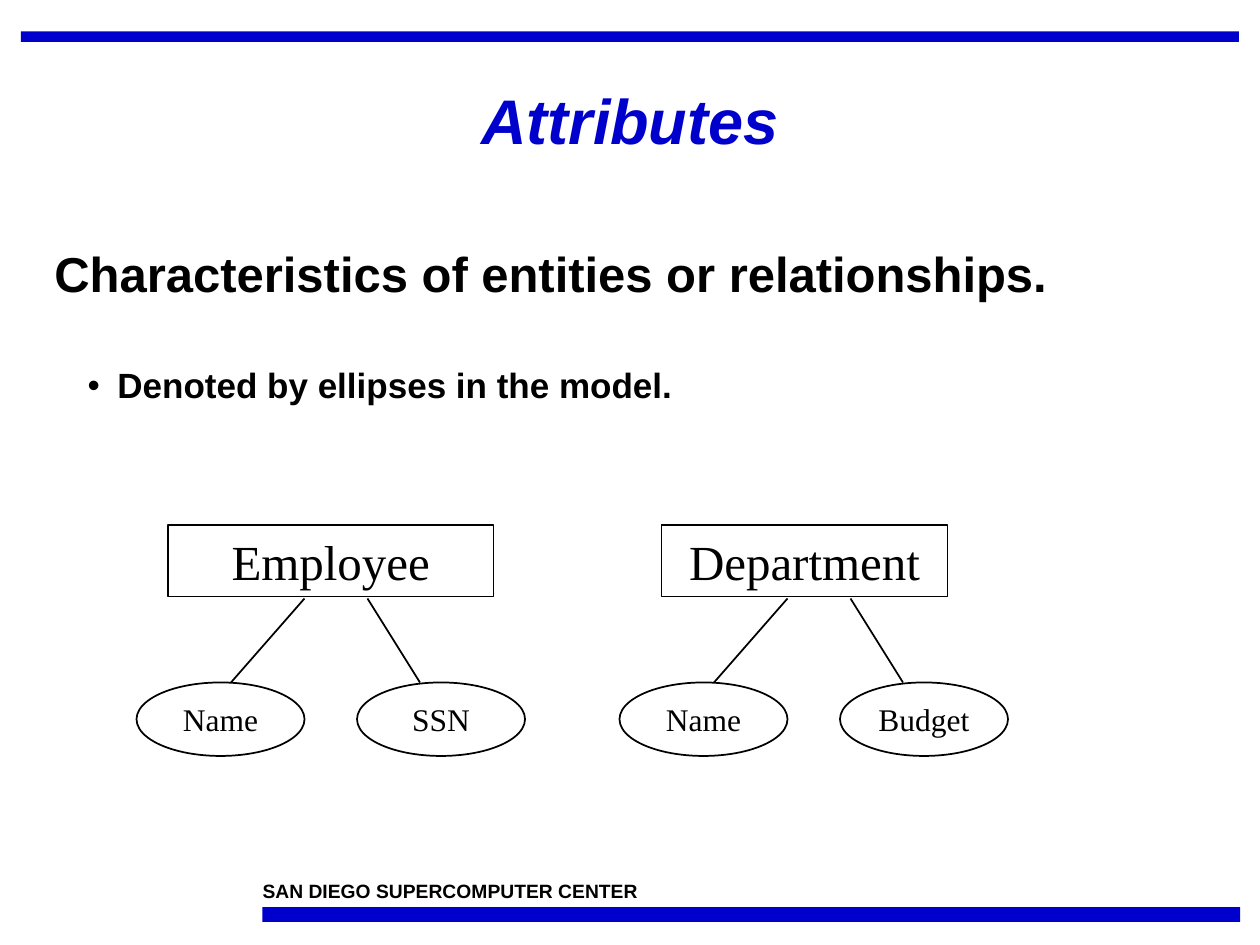
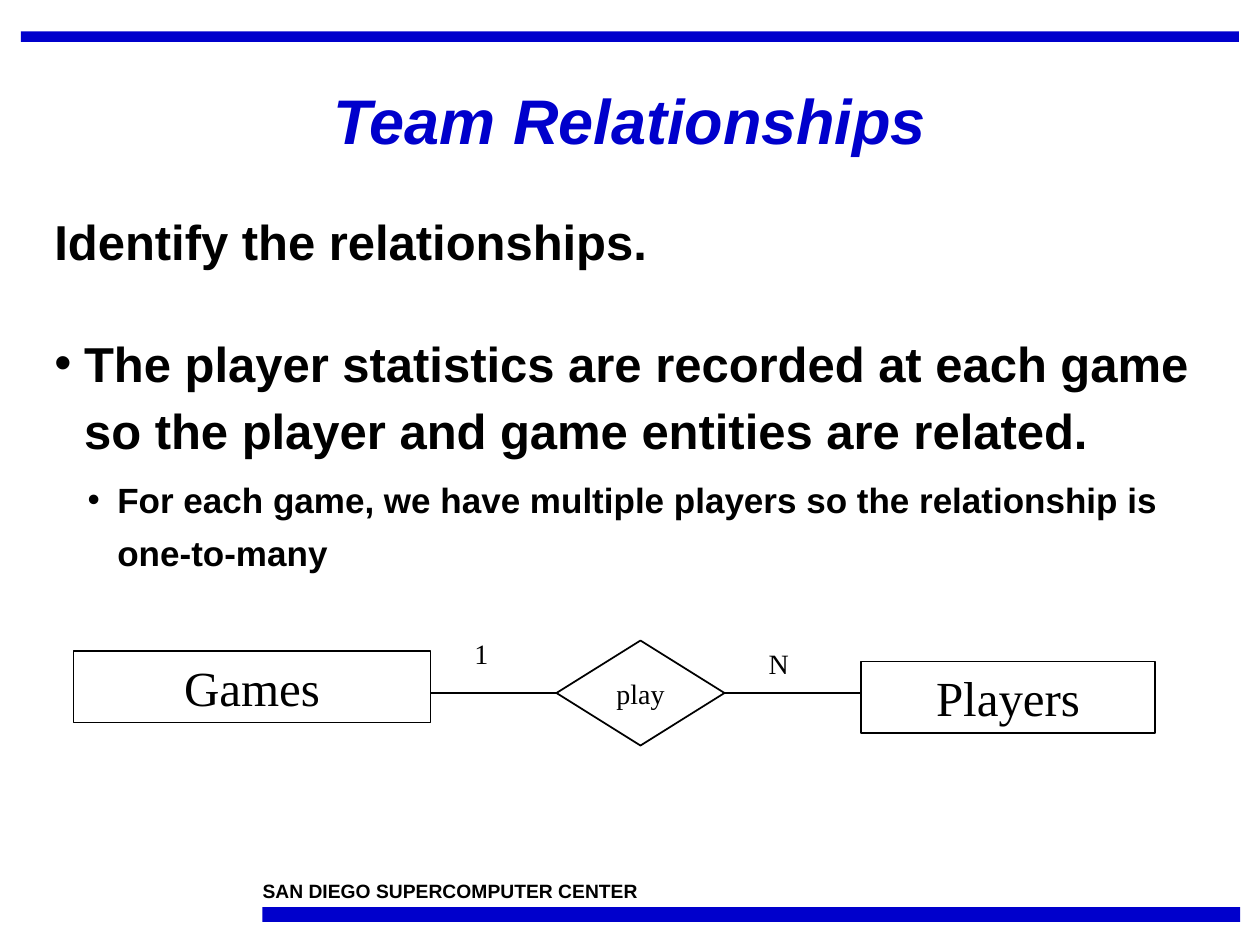
from dataclasses import dataclass

from lxml import etree
from pptx import Presentation
from pptx.dml.color import RGBColor
from pptx.enum.shapes import MSO_CONNECTOR, MSO_SHAPE
from pptx.enum.text import MSO_ANCHOR, MSO_AUTO_SIZE, PP_ALIGN
from pptx.oxml.ns import qn
from pptx.util import Pt

RECT, ELLIPSE, DIAMOND = MSO_SHAPE.RECTANGLE, MSO_SHAPE.OVAL, MSO_SHAPE.DIAMOND
STRAIGHT = MSO_CONNECTOR.STRAIGHT
TOP, MIDDLE = MSO_ANCHOR.TOP, MSO_ANCHOR.MIDDLE
LEFT, CENTER = PP_ALIGN.LEFT, PP_ALIGN.CENTER
NO_FIT = MSO_AUTO_SIZE.NONE


@dataclass(frozen=True)
class Theme:
    """Colours, fonts and type sizes shared by the slides."""
    blue: RGBColor = RGBColor(0x00, 0x00, 0xCC)
    black: RGBColor = RGBColor(0x00, 0x00, 0x00)
    sans: str = "Arial"
    serif: str = "Times New Roman"
    title: int = 36
    body: int = 28
    sub: int = 20
    entity: int = 28
    attribute: int = 18
    label: int = 16
    footer: int = 11
    line: int = 1
    hanging: int = 17


THEME = Theme()


def in_points(*lengths):
    """Turn numbers into point lengths."""
    return [Pt(n) for n in lengths]


def style_font(font, name, size, color=THEME.black, bold=False, italic=False):
    """Apply face, size, colour and weight to a font."""
    font.name, font.size = name, Pt(size)
    font.bold, font.italic = bold, italic
    font.color.rgb = color


def set_margins(tf, x, y):
    """Set the side margins and the top and bottom margins of a text frame."""
    tf.margin_left = tf.margin_right = Pt(x)
    tf.margin_top = tf.margin_bottom = Pt(y)


def write_line(tf, text, align, anchor, **font):
    """Write one formatted line of text into a frame."""
    tf.text = text
    tf.vertical_anchor = anchor
    p = tf.paragraphs[0]
    p.alignment = align
    style_font(p.runs[0].font, **font)


def add_bar(s, box):
    """Draw a solid blue band."""
    sp = s.shapes.add_shape(RECT, *in_points(*box))
    sp.shadow.inherit = False
    sp.fill.solid()
    sp.fill.fore_color.rgb = THEME.blue
    sp.line.fill.background()


def add_footer(s, x, y):
    """Place the centre's name above the lower band."""
    tf = s.shapes.add_textbox(*in_points(x, y, 270, 13)).text_frame
    set_margins(tf, 0, 0)
    tf.word_wrap = True
    write_line(tf, "SAN DIEGO SUPERCOMPUTER CENTER", LEFT, TOP,
               name=THEME.sans, size=THEME.footer, bold=True)
    add_bar(s, (x, y + 16, 558.7, 8.5))


def add_slide(prs, title):
    """Add a slide with the shared bands, footer and title."""
    s = prs.slides.add_slide(prs.slide_layouts[5])
    add_bar(s, (12, 18, 696, 6))
    add_footer(s, 150, 502.4)
    sp = s.shapes.title
    sp.left, sp.top, sp.width, sp.height = in_points(12, 30, 696, 82)
    tf = sp.text_frame
    tf.auto_size = NO_FIT
    write_line(tf, title, CENTER, MIDDLE, name=THEME.sans, size=THEME.title,
               color=THEME.blue, bold=True, italic=True)
    tf.paragraphs[0].line_spacing = 0.9
    return s


def add_bullet(p, margin):
    """Give a paragraph a black hanging bullet."""
    pPr = p._p.get_or_add_pPr()
    pPr.set("marL", str(Pt(margin)))
    pPr.set("indent", str(-Pt(THEME.hanging)))
    color = etree.SubElement(pPr, qn("a:buClr"))
    etree.SubElement(color, qn("a:srgbClr")).set("val", str(THEME.black))
    etree.SubElement(pPr, qn("a:buFont")).set("typeface", THEME.sans)
    etree.SubElement(pPr, qn("a:buChar")).set("char", "•")


def add_body(s, box, items):
    """Write paragraphs of (text, size, bullet margin, line spacing, space before)."""
    tf = s.shapes.add_textbox(*in_points(*box)).text_frame
    tf.word_wrap = True
    for i, (text, size, margin, spacing, before) in enumerate(items):
        p = tf.paragraphs[0] if i == 0 else tf.add_paragraph()
        p.text = text
        p.line_spacing, p.space_before = spacing, Pt(before)
        if margin:
            add_bullet(p, margin)
        style_font(p.runs[0].font, THEME.sans, size, bold=True)


def add_node(s, kind, box, text, size, anchor=MIDDLE, wrap=False):
    """Draw an outlined diagram shape with centred text."""
    sp = s.shapes.add_shape(kind, *in_points(*box))
    sp.shadow.inherit = False
    sp.fill.background()
    sp.line.color.rgb = THEME.black
    sp.line.width = Pt(THEME.line)
    sp.text_frame.word_wrap = wrap
    write_line(sp.text_frame, text, CENTER, anchor, name=THEME.serif, size=size)


def add_entity(s, x, y, width, name):
    """Draw an entity rectangle."""
    add_node(s, RECT, (x, y, width, 41), name, THEME.entity, TOP, True)


def add_link(s, *ends):
    """Draw a thin black line from x1, y1 to x2, y2."""
    c = s.shapes.add_connector(STRAIGHT, *in_points(*ends))
    c.line.color.rgb = THEME.black
    c.line.width = Pt(THEME.line)
    etree.SubElement(c._element.spPr, qn("a:effectLst"))


def add_label(s, x, y, width, text):
    """Write a cardinality label."""
    tf = s.shapes.add_textbox(*in_points(x, y, width, 27)).text_frame
    tf.word_wrap = False
    write_line(tf, text, CENTER, TOP, name=THEME.serif, size=THEME.label)


def add_attribute_tree(s, x, y, entity, offset, width, attributes):
    """Draw an entity with a row of attribute ellipses below it."""
    for i, attribute in enumerate(attributes):
        add_node(s, ELLIPSE, (x + 126 * i, y + 90, 96, 42), attribute, THEME.attribute)
        add_link(s, x + 96 + 36 * i, y + 42, x + 54 + 108 * i, y + 90)
    add_entity(s, x + offset, y, width, entity)


def add_relationship(s, x, y):
    """Draw the one-to-many relationship between games and players."""
    mid = y + 36
    add_entity(s, x, y + 12, 204, "Games")
    add_entity(s, x + 450, y + 18, 168, "Players")
    add_node(s, DIAMOND, (x + 276, y + 6, 96, 60), "play", THEME.label)
    add_link(s, x + 276, mid, x + 204, mid)
    add_link(s, x + 372, mid, x + 450, mid)
    add_label(s, x + 222, y, 22, "1")
    add_label(s, x + 390, y + 6, 26, "N")


def build_attributes(prs):
    """Build the slide on attributes."""
    s = add_slide(prs, "Attributes")
    add_body(s, (24, 138, 678, 151), [
        ("Characteristics of entities or relationships.", THEME.body, 0, 0.95, 0),
        ("Denoted by ellipses in the model.", THEME.sub, 36, 0.95, 36),
    ])
    add_attribute_tree(s, 78, 300, "Employee", 18, 186, ("Name", "SSN"))
    add_attribute_tree(s, 354, 300, "Department", 24, 163.5, ("Name", "Budget"))


def build_relationships(prs):
    """Build the slide on team relationships."""
    s = add_slide(prs, "Team Relationships")
    add_body(s, (24, 120, 678, 211), [
        ("Identify the relationships.", THEME.body, 0, 0.95, 0),
        ("The player statistics are recorded at each game so the player "
         "and game entities are related.", THEME.body, THEME.hanging, 1.15, 30),
        ("For each game, we have multiple players so the relationship is "
         "one-to-many", THEME.sub, 36, 1.25, 5),
    ])
    add_relationship(s, 42, 360)


def main():
    """Build and save the presentation."""
    prs = Presentation()
    prs.slide_width, prs.slide_height = in_points(720, 540)
    build_attributes(prs)
    build_relationships(prs)
    prs.save("out.pptx")


if __name__ == "__main__":
    main()
